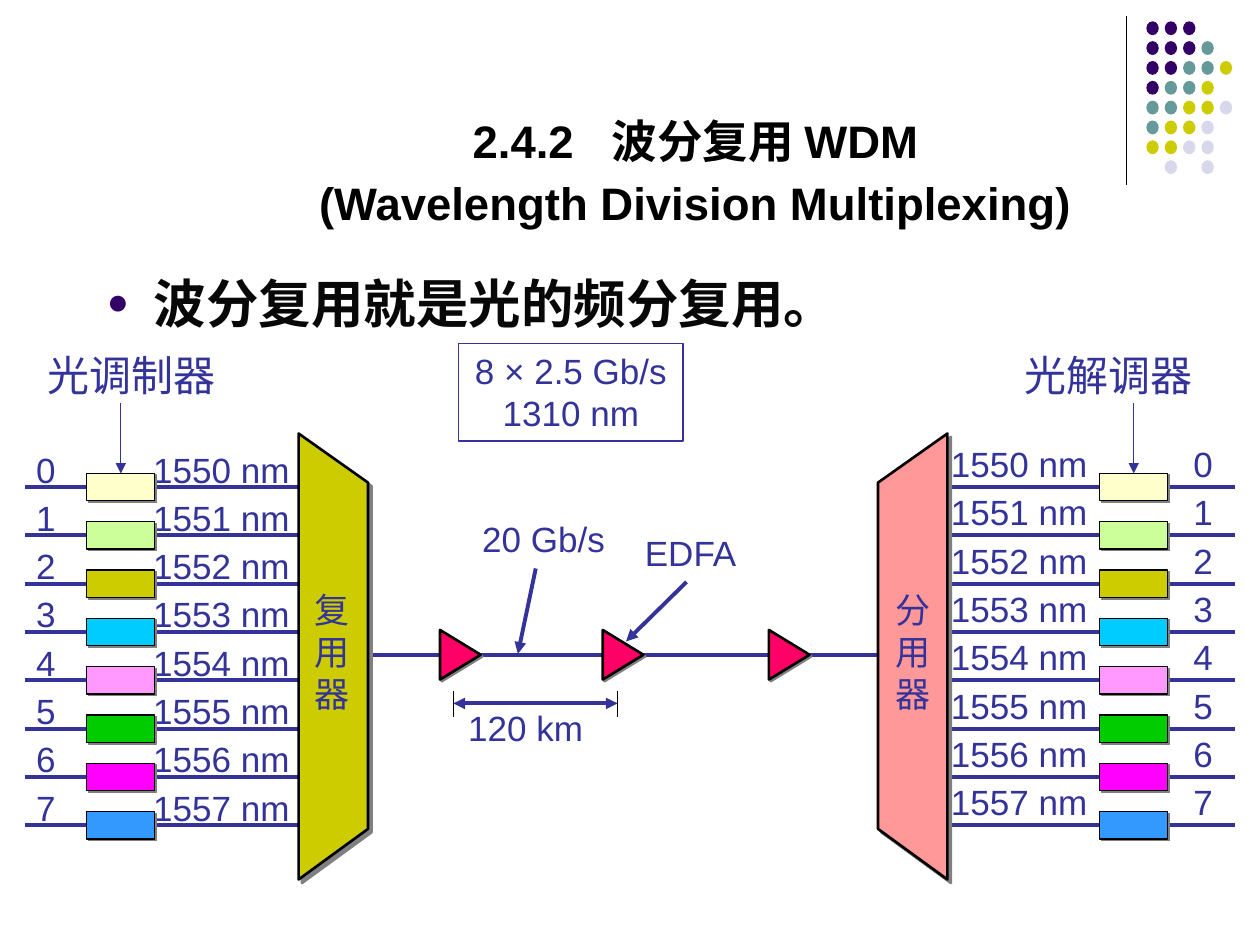
from lxml import etree
from pptx import Presentation
from pptx.dml.color import RGBColor
from pptx.enum.shapes import MSO_CONNECTOR, MSO_SHAPE
from pptx.enum.text import MSO_ANCHOR, MSO_AUTO_SIZE, PP_ALIGN
from pptx.oxml.ns import qn
from pptx.util import Cm, Pt

STRAIGHT = MSO_CONNECTOR.STRAIGHT
RECTANGLE, OVAL, TRIANGLE = MSO_SHAPE.RECTANGLE, MSO_SHAPE.OVAL, MSO_SHAPE.ISOSCELES_TRIANGLE
LEFT, CENTER = PP_ALIGN.LEFT, PP_ALIGN.CENTER

BLACK = RGBColor(0x00, 0x00, 0x00)
INK = RGBColor(0x08, 0x08, 0x08)
BLUE = RGBColor(0x33, 0x33, 0x99)
PURPLE = RGBColor(0x33, 0x00, 0x66)
TEAL = RGBColor(0x66, 0x99, 0x99)
OLIVE = RGBColor(0xCC, 0xCC, 0x00)
LAVENDER = RGBColor(0xD8, 0xD8, 0xEC)
SALMON = RGBColor(0xFF, 0x99, 0x99)
PINK = RGBColor(0xFF, 0x00, 0x66)
GRAY = RGBColor(0x80, 0x80, 0x80)

# Content; all lengths are centimetres
TITLE = ["2.4.2 波分复用 WDM", "(Wavelength Division Multiplexing)"]
STATEMENT = "波分复用就是光的频分复用。"
CHANNEL_COLORS = [
    RGBColor(0xFF, 0xFF, 0xCC), RGBColor(0xCC, 0xFF, 0x99), OLIVE, RGBColor(0x00, 0xCC, 0xFF),
    RGBColor(0xFF, 0x99, 0xFF), RGBColor(0x00, 0xCC, 0x00), RGBColor(0xFF, 0x00, 0xFF),
    RGBColor(0x33, 0x99, 0xFF),
]
CHANNELS = [(str(number), f"{1550 + number} nm") for number in range(len(CHANNEL_COLORS))]
DOT_ROWS = ["PPP", "PPPT", "PPTTY", "PTTY", "TTYYL", "TYYL", "YYLL", " L L"]
DOT_COLORS = {"P": PURPLE, "T": TEAL, "Y": OLIVE, "L": LAVENDER}
# Text, left, top, width, height
LABELS = [
    ("20 Gb/s", 9.47, 10.31, 2.97, 1.12),
    ("EDFA", 12.75, 10.59, 2.39, 1.12),
    ("120 km", 9.19, 14.12, 2.82, 1.12),
]
# Heading, heading left, line start, line end, box left
SIDES = [
    ("光调制器", 0.71, 0.51, 6.3, 1.75),
    ("光解调器", 20.4, 19.1, 24.89, 22.17),
]
# Text, text left, wide edge, narrow edge, fill
MULTIPLEXERS = [
    ("复\n用\n器", 6.1, 6.02, 7.42, OLIVE),
    ("分\n用\n器", 17.81, 19.1, 17.7, SALMON),
]
AMPLIFIER_CENTERS = [9.28, 12.56, 15.91]

FIRST_CHANNEL, LAST_CHANNEL = 9.82, 16.64
PITCH = (LAST_CHANNEL - FIRST_CHANNEL) / (len(CHANNELS) - 1)
BOX_WIDTH, BOX_HEIGHT = 1.37, 0.55
TRUNK = 13.2

deck = Presentation()
deck.slide_width, deck.slide_height = Cm(25.4), Cm(19.05)
page = deck.slides.add_slide(deck.slide_layouts[1])


def place(shape, left, top, width, height):
    shape.left, shape.top, shape.width, shape.height = Cm(left), Cm(top), Cm(width), Cm(height)


def write(box, text, size=20, font="Arial", color=BLUE, bold=False, align=LEFT,
          spacing=None, tab=None, wrap=False):
    """Fill a box with one paragraph per line of text."""
    frame = box.text_frame
    frame.auto_size = MSO_AUTO_SIZE.NONE
    frame.word_wrap = wrap
    frame.text = text
    for para in frame.paragraphs:
        para.alignment = align
        para.space_before = Pt(0)
        if spacing:
            para.line_spacing = spacing
        if tab:
            tabs = etree.SubElement(para._p.get_or_add_pPr(), qn("a:tabLst"))
            etree.SubElement(tabs, qn("a:tab"), pos=str(Cm(tab)), algn="l")
        for span in para.runs:
            span.font.size, span.font.name = Pt(size), font
            span.font.bold, span.font.color.rgb = bold, color
    return frame


def label(text, left, top, width, height, **style):
    box = page.shapes.add_textbox(Cm(left), Cm(top), Cm(width), Cm(height))
    write(box, text, **style)
    return box


def line(x1, y1, x2, y2, color=BLUE, weight=2.25, arrows=()):
    connector = page.shapes.add_connector(STRAIGHT, Cm(x1), Cm(y1), Cm(x2), Cm(y2))
    connector.line.color.rgb, connector.line.width = color, Pt(weight)
    for end in arrows:
        etree.SubElement(connector.line._get_or_add_ln(), qn(f"a:{end}"), type="triangle")
    etree.SubElement(connector._element.spPr, qn("a:effectLst"))
    return connector


def paint(shape, fill, weight=None, shadow=None):
    """Set fill, black outline and an optional shadow distance in points."""
    shape.shadow.inherit = False
    shape.fill.solid()
    shape.fill.fore_color.rgb = fill
    if weight:
        shape.line.color.rgb, shape.line.width = BLACK, Pt(weight)
    else:
        shape.line.fill.background()
    if shadow:
        effects = shape._element.spPr.find(qn("a:effectLst"))
        outer = etree.SubElement(effects, qn("a:outerShdw"), dist=str(Pt(shadow)),
                                 dir="2700000", algn="ctr", rotWithShape="0")
        etree.SubElement(outer, qn("a:srgbClr"), val=str(GRAY))


def preset(kind, left, top, width, height, fill, **style):
    shape = page.shapes.add_shape(kind, Cm(left), Cm(top), Cm(width), Cm(height))
    paint(shape, fill, **style)
    return shape


# Corner ornament
line(22.71, 0.33, 22.71, 3.73, BLACK, 0.75)
for row, dots in enumerate(DOT_ROWS):
    for column, key in enumerate(dots):
        if key in DOT_COLORS:
            preset(OVAL, 23.11 + 0.37 * column, 0.43 + 0.4 * row, 0.25, 0.28, DOT_COLORS[key])

# Title: the first line sits slightly right of the second
title = page.shapes.title
place(title, 2.92, 0.71, 21.64, 4.04)
frame = write(title, "\n".join(TITLE), size=26, color=BLACK, bold=True, align=CENTER, wrap=True)
frame.vertical_anchor = MSO_ANCHOR.BOTTOM
first, second = frame.paragraphs
first._p.get_or_add_pPr().set("marL", str(Cm(0.56)))
second.space_before = Pt(4)
number, rest = TITLE[0].split(" ", 1)
first.runs[0].text = number
for text, tracking in ((" ", 1440), (rest, 0)):
    span = first.add_run()
    span.text = text
    span.font.size, span.font.name, span.font.bold = Pt(26), "Arial", True
    span.font.color.rgb = BLACK
    span._r.get_or_add_rPr().set("spc", str(tracking))

# Statement
body = page.placeholders[1]
place(body, 1.9, 5.33, 23.01, 11.43)
frame = write(body, STATEMENT, size=30, color=INK, bold=True, wrap=True)
properties = frame.paragraphs[0]._p.get_or_add_pPr()
properties.set("marL", str(Cm(0.95)))
properties.set("indent", str(-Cm(0.95)))
bullet_color = etree.SubElement(properties, qn("a:buClr"))
etree.SubElement(bullet_color, qn("a:srgbClr"), val=str(PURPLE))
etree.SubElement(properties, qn("a:buSzPct"), val="70000")
etree.SubElement(properties, qn("a:buFont"), typeface="Arial")
etree.SubElement(properties, qn("a:buChar"), char="●")

# Channel numbers and wavelengths
left_text = "\n".join(f"{number}\t{wave}" for number, wave in CHANNELS)
right_text = "\n".join(f"{wave}\t{number}" for number, wave in CHANNELS)
for text, left, top, tab in ((left_text, 0.48, 8.78, 2.36), (right_text, 18.92, 8.67, 4.89)):
    label(text, left, top, 6.4, 8.05, spacing=Cm(PITCH), tab=tab, wrap=True)

# Modulators and demodulators
for heading, heading_left, start, end, box_left in SIDES:
    label(heading, heading_left, 6.93, 3.89, 1.27, size=24, font="Cabin")
    boxes = []
    for index, color in enumerate(CHANNEL_COLORS):
        y = FIRST_CHANNEL + PITCH * index
        line(start, y, end, y)
        boxes.append(preset(RECTANGLE, box_left, y - BOX_HEIGHT / 2, BOX_WIDTH, BOX_HEIGHT,
                            color, weight=0.75, shadow=1.4))
    middle = box_left + BOX_WIDTH / 2
    pointer = line(middle, 8.13, middle, FIRST_CHANNEL - BOX_HEIGHT / 2, weight=0.75,
                   arrows=["tailEnd"])
    pointer.end_connect(boxes[0], 0)

# Trunk fibre, multiplexers and amplifiers
line(6.45, TRUNK, 18.95, TRUNK)
for text, text_left, wide, narrow, fill in MULTIPLEXERS:
    builder = page.shapes.build_freeform(Cm(wide), Cm(17.73), scale=1.0)
    corners = [(narrow, 16.71), (narrow, 9.73), (wide, 8.74)]
    builder.add_line_segments([(Cm(x), Cm(y)) for x, y in corners], close=True)
    paint(builder.convert_to_shape(), fill, weight=1.5, shadow=2.8)
    label(text, text_left, 11.73, 1.22, 2.79, font="Times New Roman")
for center in AMPLIFIER_CENTERS:
    amplifier = preset(TRIANGLE, center - 0.5, TRUNK - 0.41, 1, 0.82, PINK, weight=1.5, shadow=1.4)
    amplifier.rotation = 90

# Rate box, labels and pointers
rate = label("8 × 2.5 Gb/s\n1310 nm", 9.25, 6.93, 4.52, 1.96, align=CENTER)
rate.line.color.rgb, rate.line.width = BLUE, Pt(0.75)
for text, *position in LABELS:
    label(text, *position)
line(10.8, 11.46, 10.44, 13.18, arrows=["tailEnd"])
line(13.84, 11.73, 12.62, 12.93, arrows=["tailEnd"])

# Span dimension
for x in (9.14, 12.45):
    line(x, 13.92, x, 14.45, BLACK, 0.75)
line(9.14, 14.18, 12.45, 14.18, arrows=["headEnd", "tailEnd"])

deck.save("out.pptx")
